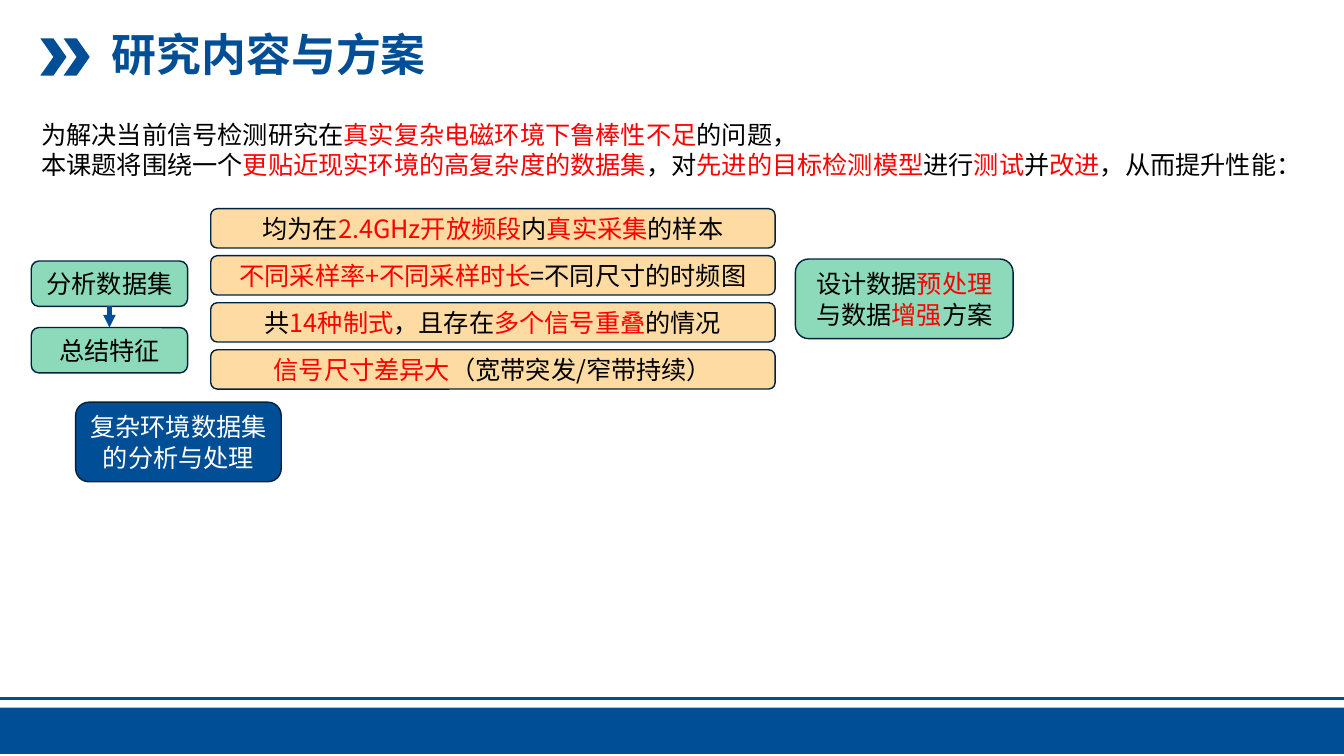
from dataclasses import dataclass
from lxml.etree import SubElement
from pptx import Presentation
from pptx.dml.color import RGBColor
from pptx.enum.shapes import MSO_CONNECTOR, MSO_SHAPE
from pptx.enum.text import MSO_ANCHOR, MSO_AUTO_SIZE, PP_ALIGN
from pptx.oxml.ns import qn
from pptx.shapes.autoshape import Shape
from pptx.shapes.connector import Connector
from pptx.slide import Slide
from pptx.text.text import _Paragraph
from pptx.util import Inches, Pt

BLUE = RGBColor(0x00, 0x4E, 0x95)
NAVY = RGBColor(0x00, 0x22, 0x41)
GREEN = RGBColor(0x8C, 0xDA, 0xBA)
SAND = RGBColor(0xFD, 0xDB, 0xA3)
RED = RGBColor(0xFF, 0x00, 0x00)
BLACK = RGBColor(0x00, 0x00, 0x00)
WHITE = RGBColor(0xFF, 0xFF, 0xFF)

FONT = "Noto Sans CJK SC"
WIDTH, HEIGHT = Inches(13.33), Inches(7.5)
COLUMN, ROW = WIDTH / 100, HEIGHT / 100


@dataclass(frozen=True)
class Span:
    text: str
    color: RGBColor = BLACK


@dataclass(frozen=True)
class Area:
    left: float
    top: float
    width: float
    height: float

    def lengths(self) -> tuple[int, int, int, int]:
        return (round(self.left * COLUMN), round(self.top * ROW),
                round(self.width * COLUMN), round(self.height * ROW))


@dataclass(frozen=True)
class Card:
    area: Area
    fill: RGBColor
    spans: list[Span]


def red(text: str) -> Span:
    return Span(text, RED)


INTRO = [
    [Span("为解决当前信号检测研究在"), red("真实复杂电磁环境下鲁棒性不足"), Span("的问题，")],
    [Span("本课题将围绕一个"), red("更贴近现实环境的高复杂度的数据集"), Span("，对"),
     red("先进的目标检测模型"), Span("进行"), red("测试"), Span("并"), red("改进"),
     Span("，从而提升性能：")],
]
FEATURES = [
    [Span("均为在"), red("2.4GHz开放频段"), Span("内"), red("真实采集"), Span("的样本")],
    [red("不同采样率+不同采样时长"), Span("=不同尺寸的时频图")],
    [Span("共"), red("14种制式"), Span("，且存在"), red("多个信号重叠"), Span("的情况")],
    [red("信号尺寸差异大"), Span("（宽带突发/窄带持续）")],
]
ANALYSE = Card(Area(2.33, 34.53, 11.63, 6), GREEN, [Span("分析数据集")])
SUMMARISE = Card(Area(2.33, 43.33, 11.63, 6), GREEN, [Span("总结特征")])
CARDS = [
    Card(Area(5.63, 53.2, 15.3, 10.53), BLUE, [Span("复杂环境数据集的分析与处理", WHITE)]),
    Card(Area(59.18, 34.27, 16.2, 10.53), GREEN,
         [Span("设计数据"), red("预处理"), Span("与数据"), red("增强"), Span("方案")]),
    *(Card(Area(15.68, 27.6 + 6.22 * index, 42, 5.2), SAND, spans)
      for index, spans in enumerate(FEATURES)),
]
CHEVRONS = [Area(left, 5.07, 1.95, 4.93) for left in (3, 4.73)]


def write(para: _Paragraph, spans: list[Span], size: int = 18, bold: bool = False) -> None:
    for span in spans:
        run = para.add_run()
        run.text = span.text
        run.font.size = Pt(size)
        run.font.bold = bold
        run.font.color.rgb = span.color
        run.font.name = FONT
        SubElement(run.font._element, qn("a:ea"), typeface=FONT)


def add_block(page: Slide, kind: MSO_SHAPE, area: Area, fill: RGBColor) -> Shape:
    block = page.shapes.add_shape(kind, *area.lengths())
    block.shadow.inherit = False
    block.fill.solid()
    block.fill.fore_color.rgb = fill
    block.line.fill.background()
    return block


def add_card(page: Slide, card: Card) -> Shape:
    box = add_block(page, MSO_SHAPE.ROUNDED_RECTANGLE, card.area, card.fill)
    box.line.color.rgb = NAVY
    box.line.width = Pt(1)
    para = box.text_frame.paragraphs[0]
    para.alignment = PP_ALIGN.CENTER
    write(para, card.spans)
    return box


def add_line(page: Slide, left: float, top: float, right: float, bottom: float,
             weight: float) -> Connector:
    line = page.shapes.add_connector(
        MSO_CONNECTOR.STRAIGHT, round(left * COLUMN), round(top * ROW),
        round(right * COLUMN), round(bottom * ROW))
    line.line.color.rgb = BLUE
    line.line.width = Pt(weight)
    SubElement(line._element.spPr, qn("a:effectLst"))
    return line


def add_arrow(page: Slide, upper: Shape, lower: Shape) -> None:
    arrow = add_line(page, 0, 0, 0, 0, 3)
    arrow.begin_connect(upper, 2)
    arrow.end_connect(lower, 0)
    SubElement(arrow.line._get_or_add_ln(), qn("a:tailEnd"), type="triangle")


def add_title(page: Slide) -> None:
    title = page.shapes.title
    title.left, title.top, title.width, title.height = Area(7.58, 3.07, 64.35, 8.93).lengths()
    title.text_frame.vertical_anchor = MSO_ANCHOR.MIDDLE
    para = title.text_frame.paragraphs[0]
    para.alignment = PP_ALIGN.LEFT
    para.line_spacing = 0.9
    write(para, [Span("研究内容与方案", BLUE)], 32, True)


def add_intro(page: Slide) -> None:
    frame = page.shapes.add_textbox(*Area(2.33, 15.07, 95.4, 9.47).lengths()).text_frame
    frame.word_wrap = False
    frame.auto_size = MSO_AUTO_SIZE.SHAPE_TO_FIT_TEXT
    for index, spans in enumerate(INTRO):
        write(frame.add_paragraph() if index else frame.paragraphs[0], spans)


def main() -> None:
    """Build the research plan slide and save it."""
    deck = Presentation()
    deck.slide_width, deck.slide_height = WIDTH, HEIGHT
    page = deck.slides.add_slide(deck.slide_layouts.get_by_name("Title Only"))
    add_line(page, 0, 92.4, 100, 92.4, 2)
    add_block(page, MSO_SHAPE.RECTANGLE, Area(0, 93.6, 100, 6.13), BLUE)
    for area in CHEVRONS:
        add_block(page, MSO_SHAPE.CHEVRON, area, BLUE)
    add_title(page)
    add_intro(page)
    add_arrow(page, add_card(page, ANALYSE), add_card(page, SUMMARISE))
    for card in CARDS:
        add_card(page, card)
    deck.save("out.pptx")


if __name__ == "__main__":
    main()
